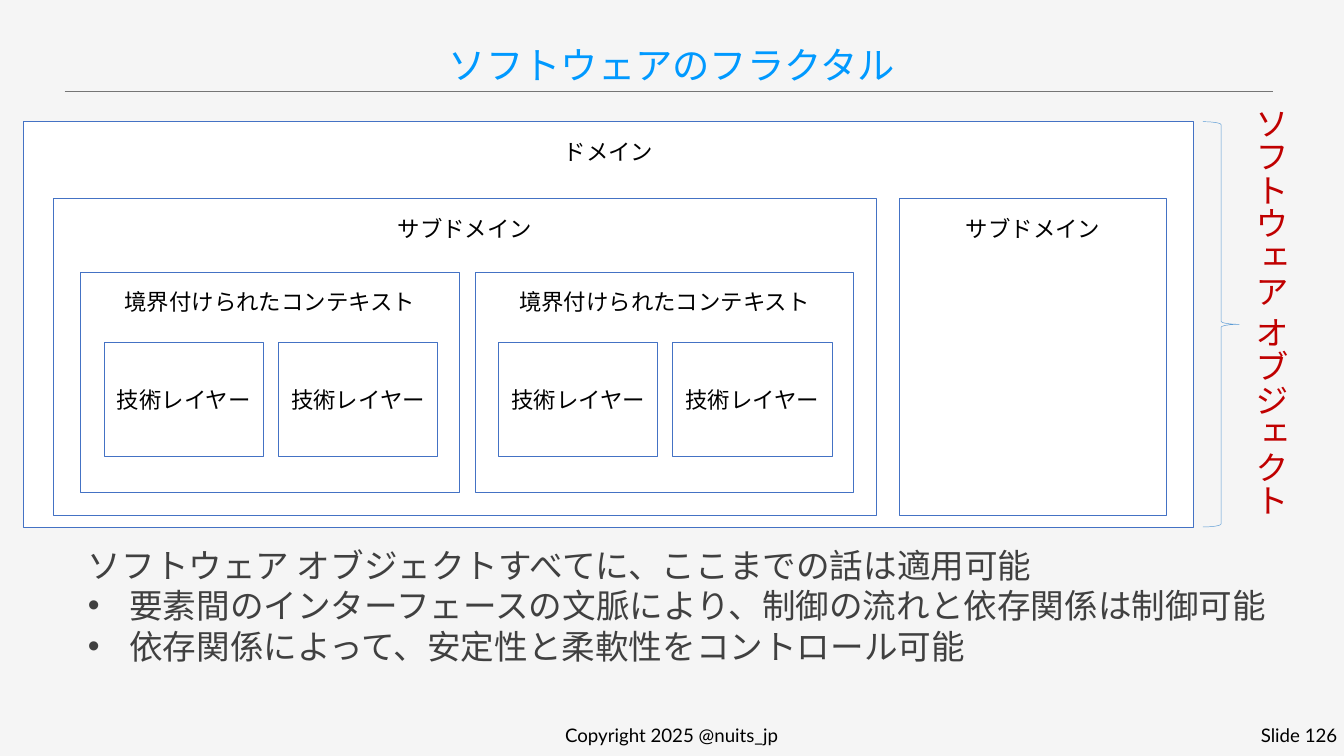
"""Build the slide on the fractal structure of software."""
from dataclasses import dataclass

from lxml import etree
from pptx import Presentation
from pptx.dml.color import RGBColor
from pptx.enum.shapes import MSO_CONNECTOR, MSO_SHAPE
from pptx.enum.text import MSO_ANCHOR, MSO_AUTO_SIZE, PP_ALIGN
from pptx.oxml.ns import qn
from pptx.util import Cm, Pt

RECTANGLE, BRACE = MSO_SHAPE.RECTANGLE, MSO_SHAPE.RIGHT_BRACE
STRAIGHT = MSO_CONNECTOR.STRAIGHT
TOP, MIDDLE, BOTTOM = MSO_ANCHOR.TOP, MSO_ANCHOR.MIDDLE, MSO_ANCHOR.BOTTOM
LEFT, CENTER, RIGHT = PP_ALIGN.LEFT, PP_ALIGN.CENTER, PP_ALIGN.RIGHT
GROW = MSO_AUTO_SIZE.SHAPE_TO_FIT_TEXT


@dataclass(frozen=True)
class Theme:
    """Colours, font and type sizes of the slide."""
    font: str = "Lato"
    background: str = "F5F5F5"
    title: str = "0099FF"
    rule: str = "757575"
    box: str = "FFFFFF"
    border: str = "4472C4"
    brace: str = "5B9BD5"
    label: str = "000000"
    body: str = "404040"
    accent: str = "C00000"
    title_size: int = 40
    body_size: int = 36
    label_size: int = 24
    footer_size: int = 20


THEME = Theme()

TITLE = "ソフトウェアのフラクタル"
DOMAIN, SUBDOMAIN = "ドメイン", "サブドメイン"
CONTEXT, LAYER = "境界付けられたコンテキスト", "技術レイヤー"
SOFTWARE_OBJECT = "ソフトウェア オブジェクト"
CONCLUSION = "ソフトウェア オブジェクトすべてに、ここまでの話は適用可能"
POINTS = [
    "要素間のインターフェースの文脈により、制御の流れと依存関係は制御可能",
    "依存関係によって、安定性と柔軟性をコントロール可能",
]
COPYRIGHT, PAGE = "Copyright 2025 @nuits_jp", "Slide 126"

DOMAIN_TOP, DOMAIN_HEIGHT = 4.6, 15.32
SUBDOMAINS = [(2.01, 31.12), (34.01, 10.08)]
CONTEXT_LEFT, CONTEXT_PITCH = 3.05, 14.91
LAYER_INSET, LAYER_PITCH = 0.89, 6.58
POINT_INDENT = 1.57


def colour(value):
    return RGBColor.from_string(value)


def add_run(paragraph, text, size, ink):
    run = paragraph.add_run()
    run.text = text
    run.font.name = THEME.font
    run.font.size = Pt(size)
    run.font.color.rgb = colour(ink)


def add_text(slide, area, text, size, ink, align, anchor=MIDDLE):
    box = slide.shapes.add_textbox(*map(Cm, area))
    frame = box.text_frame
    frame.word_wrap = True
    frame.vertical_anchor = anchor
    frame.paragraphs[0].alignment = align
    add_run(frame.paragraphs[0], text, size, ink)
    return frame


def add_box(slide, area, label, anchor=TOP):
    box = slide.shapes.add_shape(RECTANGLE, *map(Cm, area))
    box.shadow.inherit = False
    box.fill.solid()
    box.fill.fore_color.rgb = colour(THEME.box)
    box.line.color.rgb = colour(THEME.border)
    box.line.width = Pt(1)
    frame = box.text_frame
    frame.word_wrap = True
    frame.vertical_anchor = anchor
    if anchor == TOP:
        frame.margin_top = Cm(0.61)
    frame.paragraphs[0].alignment = CENTER
    add_run(frame.paragraphs[0], label, THEME.label_size, THEME.label)


def add_heading(slide):
    frame = add_text(slide, (0.89, 1.3, 49.02, 2.13), TITLE,
                     THEME.title_size, THEME.title, CENTER, BOTTOM)
    frame.paragraphs[0].line_spacing = 0.9
    rule = slide.shapes.add_connector(STRAIGHT, *map(Cm, (2.44, 3.45, 48.11, 3.45)))
    rule.line.color.rgb = colour(THEME.rule)
    rule.line.width = Pt(0.5)
    etree.SubElement(rule._element.spPr, qn("a:effectLst"))


def add_nested_boxes(slide):
    add_box(slide, (0.89, DOMAIN_TOP, 44.22, DOMAIN_HEIGHT), DOMAIN)
    for left, width in SUBDOMAINS:
        add_box(slide, (left, 7.52, width, 11.96), SUBDOMAIN)
    for context in range(2):
        left = CONTEXT_LEFT + context * CONTEXT_PITCH
        add_box(slide, (left, 10.29, 14.3, 8.31), CONTEXT)
        for layer in range(2):
            layer_left = left + LAYER_INSET + layer * LAYER_PITCH
            add_box(slide, (layer_left, 12.93, 6.02, 4.34), LAYER, MIDDLE)


def add_brace(slide):
    area = (45.47, DOMAIN_TOP, 1.37, DOMAIN_HEIGHT)
    brace = slide.shapes.add_shape(BRACE, *map(Cm, area))
    brace.shadow.inherit = False
    brace.fill.background()
    brace.line.color.rgb = colour(THEME.brace)
    brace.line.width = Pt(0.5)
    frame = add_text(slide, (46.86, 3.78, 2.06, 16.92), SOFTWARE_OBJECT,
                     THEME.body_size, THEME.accent, CENTER, TOP)
    frame.word_wrap = False
    frame.auto_size = GROW
    frame._txBody.bodyPr.set("vert", "eaVert")


def add_conclusion(slide):
    frame = add_text(slide, (3.07, 20.47, 45.64, 4.88), CONCLUSION,
                     THEME.body_size, THEME.body, LEFT, TOP)
    frame.auto_size = GROW
    for point in POINTS:
        paragraph = frame.add_paragraph()
        properties = paragraph._p.get_or_add_pPr()
        properties.set("marL", str(Cm(POINT_INDENT)))
        properties.set("indent", str(-Cm(POINT_INDENT)))
        etree.SubElement(properties, qn("a:buFont"), typeface="Arial")
        etree.SubElement(properties, qn("a:buChar"), char="•")
        add_run(paragraph, point, THEME.body_size, THEME.body)


def main():
    deck = Presentation()
    deck.slide_width, deck.slide_height = Cm(50.8), Cm(28.575)
    slide = deck.slides.add_slide(deck.slide_layouts[6])
    slide.background.fill.solid()
    slide.background.fill.fore_color.rgb = colour(THEME.background)
    add_heading(slide)
    add_nested_boxes(slide)
    add_brace(slide)
    add_conclusion(slide)
    for area, text, align in [((16.81, 27.28, 17.15, 0.97), COPYRIGHT, CENTER),
                              ((46.43, 27.31, 4.37, 0.94), PAGE, RIGHT)]:
        add_text(slide, area, text, THEME.footer_size, THEME.label, align)
    deck.save("out.pptx")


if __name__ == "__main__":
    main()
